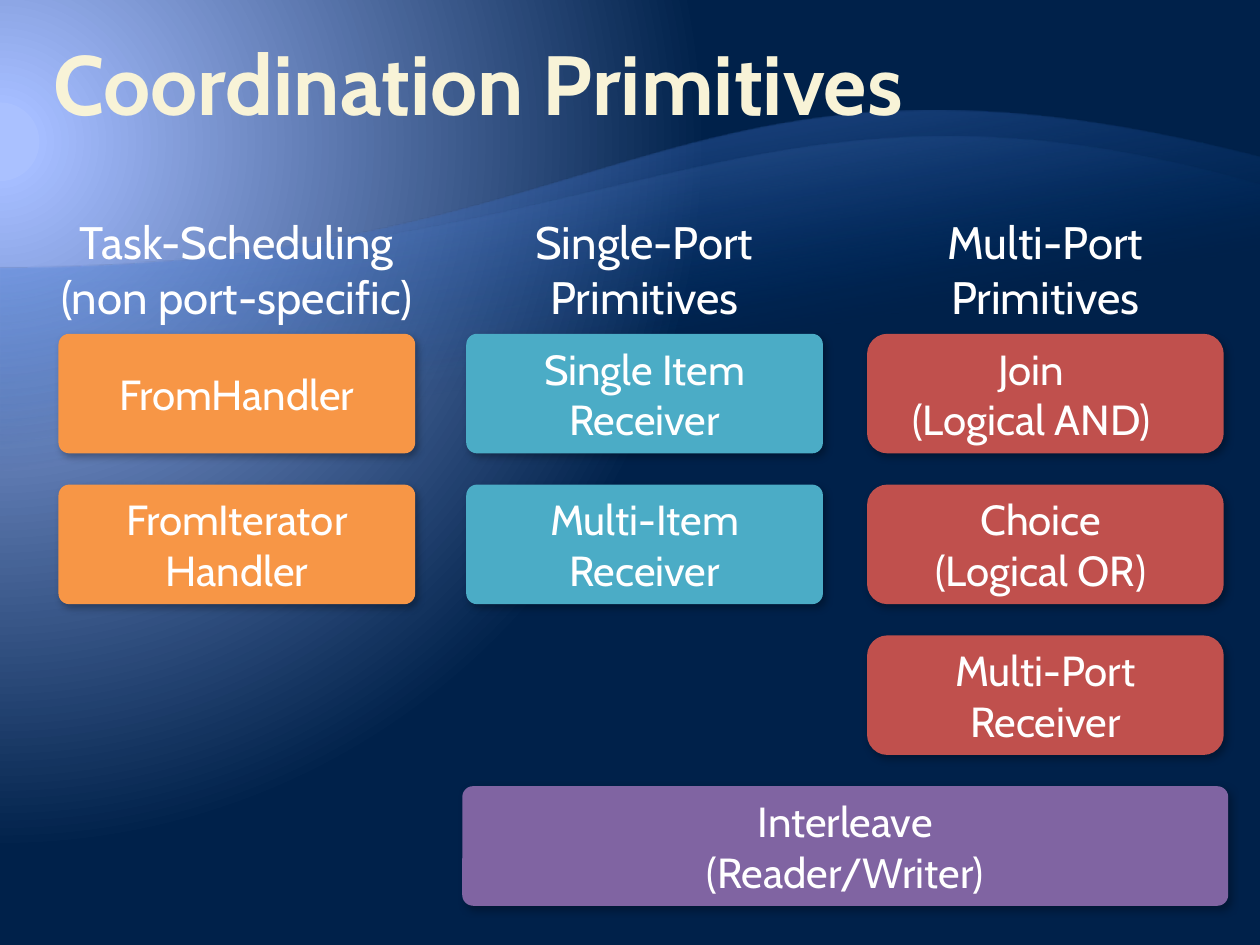
from dataclasses import dataclass

from lxml import etree
from pptx import Presentation
from pptx.dml.color import RGBColor
from pptx.enum.shapes import MSO_SHAPE
from pptx.enum.text import MSO_ANCHOR, PP_ALIGN
from pptx.oxml.ns import qn
from pptx.util import Cm, Pt

ROUNDED = MSO_SHAPE.ROUNDED_RECTANGLE
TOP, MIDDLE = MSO_ANCHOR.TOP, MSO_ANCHOR.MIDDLE
LEFT, CENTER = PP_ALIGN.LEFT, PP_ALIGN.CENTER
FONT = "Cabin"
WHITE = "FFFFFF"
SLIDE_W, SLIDE_H = 25.4, 19.05
BOX_W, BOX_H = 7.19, 2.41
ROW_TOP, ROW_PITCH = 6.73, 3.04
HEAD_TOP, HEAD_W, HEAD_H = 4.19, 7.87, 14.4
CURVE_STEPS = 60


@dataclass
class Box:
    text: str
    nudge: float = 0


@dataclass
class Column:
    left: float
    heading: str
    color: str
    radius: float
    boxes: list[Box]


@dataclass
class Wave:
    bottom: float
    curve: list[tuple[float, float]]
    color: str
    alpha: int


@dataclass
class Stop:
    pos: int
    color: str
    alpha: int = 100


COLUMNS = [
    Column(1.18, "Task-Scheduling\n(non port-specific)", "F79646", 0.09,
           [Box("FromHandler"), Box("FromIterator Handler")]),
    Column(9.4, "Single-Port Primitives", "4BACC6", 0.09,
           [Box("Single Item Receiver"), Box("Multi-Item Receiver")]),
    Column(17.48, "Multi-Port Primitives", "C0504D", 0.17,
           [Box("Join\n(Logical AND)", 0.56), Box("Choice\n(Logical OR)", 0.19),
            Box("Multi-Port Receiver")]),
]
WAVES = [
    Wave(18.62, [(0, 5.41), (12.7, 5.41), (13.56, 0.13), (SLIDE_W, 3.18)], "7C9FFF", 55),
    Wave(16.18, [(0, 5.41), (12.7, 5.41), (15.19, 0.79), (SLIDE_W, 3.73)], "A5BDFF", 30),
]


def rgb(color: str) -> RGBColor:
    return RGBColor.from_string(color)


def add_color(parent, color: str, alpha: int) -> None:
    clr = etree.SubElement(parent, qn("a:srgbClr"), val=color)
    if alpha < 100:
        etree.SubElement(clr, qn("a:alpha"), val=str(alpha * 1000))


def set_gradient(fill, props, stops: list[Stop], angle: int | None = None) -> None:
    fill.solid()
    grad = etree.Element(qn("a:gradFill"), rotWithShape="1")
    stop_list = etree.SubElement(grad, qn("a:gsLst"))
    for stop in stops:
        gs = etree.SubElement(stop_list, qn("a:gs"), pos=str(stop.pos * 1000))
        add_color(gs, stop.color, stop.alpha)
    if angle is None:
        circle = etree.SubElement(grad, qn("a:path"), path="circle")
        etree.SubElement(circle, qn("a:fillToRect"),
                         l="20000", t="30000", r="135000", b="100000")
    else:
        etree.SubElement(grad, qn("a:lin"), ang=str(angle * 60000), scaled="0")
    props.replace(props.find(qn("a:solidFill")), grad)


def write(tf, text: str, *, size: int, color: str = WHITE, bold: bool = False,
          align=CENTER, anchor=TOP, nudge: float = 0) -> None:
    tf.word_wrap = True
    tf.vertical_anchor = anchor
    for i, line in enumerate(text.split("\n")):
        p = tf.add_paragraph() if i else tf.paragraphs[0]
        p.alignment = align
        if nudge and i == 0:
            p._p.get_or_add_pPr().set("marR", str(Cm(nudge)))
        r = p.add_run()
        r.text = line
        r.font.name, r.font.size, r.font.bold = FONT, Pt(size), bold
        r.font.color.rgb = rgb(color)


def add_wave(s, wave: Wave, title) -> None:
    points = []
    for i in range(CURVE_STEPS + 1):
        t = i / CURVE_STEPS
        weights = ((1 - t) ** 3, 3 * t * (1 - t) ** 2, 3 * t * t * (1 - t), t ** 3)
        points.append(tuple(Cm(sum(w * c[axis] for w, c in zip(weights, wave.curve)))
                            for axis in (0, 1)))
    points += [(Cm(SLIDE_W), Cm(wave.bottom)), (0, Cm(wave.bottom))]
    builder = s.shapes.build_freeform(*points[0])
    builder.add_line_segments(points[1:], close=True)
    sp = builder.convert_to_shape()
    sp.shadow.inherit = False
    sp.line.fill.background()
    stops = [Stop(65, "00469C", 0), Stop(100, wave.color, wave.alpha)]
    set_gradient(sp.fill, sp.element.spPr, stops, 260)
    title.element.addprevious(sp.element)


def add_box(s, box: Box, left: float, row: int, width: float, color: str,
            radius: float) -> None:
    sp = s.shapes.add_shape(ROUNDED, Cm(left), Cm(ROW_TOP + row * ROW_PITCH),
                            Cm(width), Cm(BOX_H))
    sp.adjustments[0] = radius
    sp.fill.solid()
    sp.fill.fore_color.rgb = rgb(color)
    sp.line.fill.background()
    sp.shadow.inherit = False
    shadow = etree.SubElement(sp.element.spPr.find(qn("a:effectLst")), qn("a:outerShdw"),
                              blurRad=str(Pt(4.5)), dist=str(Pt(2.6)),
                              dir=str(53 * 60000), algn="tl", rotWithShape="0")
    add_color(shadow, "000000", 30)
    write(sp.text_frame, box.text, size=24, anchor=MIDDLE, nudge=box.nudge)


def add_column(s, column: Column) -> None:
    left = column.left + (BOX_W - HEAD_W) / 2
    heading = s.shapes.add_textbox(Cm(left), Cm(HEAD_TOP), Cm(HEAD_W), Cm(HEAD_H))
    write(heading.text_frame, column.heading, size=26)
    for row, box in enumerate(column.boxes):
        add_box(s, box, column.left, row, BOX_W, column.color, column.radius)


def main() -> None:
    prs = Presentation()
    prs.slide_width, prs.slide_height = Cm(SLIDE_W), Cm(SLIDE_H)
    s = prs.slides.add_slide(prs.slide_layouts[5])
    fill = s.background.fill
    fill.solid()
    set_gradient(fill, s.element.find(".//" + qn("p:bgPr")),
                 [Stop(5, "AAC1FF"), Stop(5, "A5BDFF"), Stop(90, "00214A")])

    title = s.shapes.title
    title.left, title.top, title.width, title.height = Cm(1.07), Cm(0.64), Cm(23.29), Cm(2.06)
    tf = title.text_frame
    tf.margin_left = tf.margin_top = tf.margin_right = tf.margin_bottom = 0
    write(tf, "Coordination Primitives", size=48, color="F8F3D7", bold=True, align=LEFT)

    for wave in WAVES:
        add_wave(s, wave, title)
    for column in COLUMNS:
        add_column(s, column)
    add_box(s, Box("Interleave\n(Reader/Writer)"), 9.32, 3, 15.44, "8064A2", 0.09)
    prs.save("out.pptx")


main()
